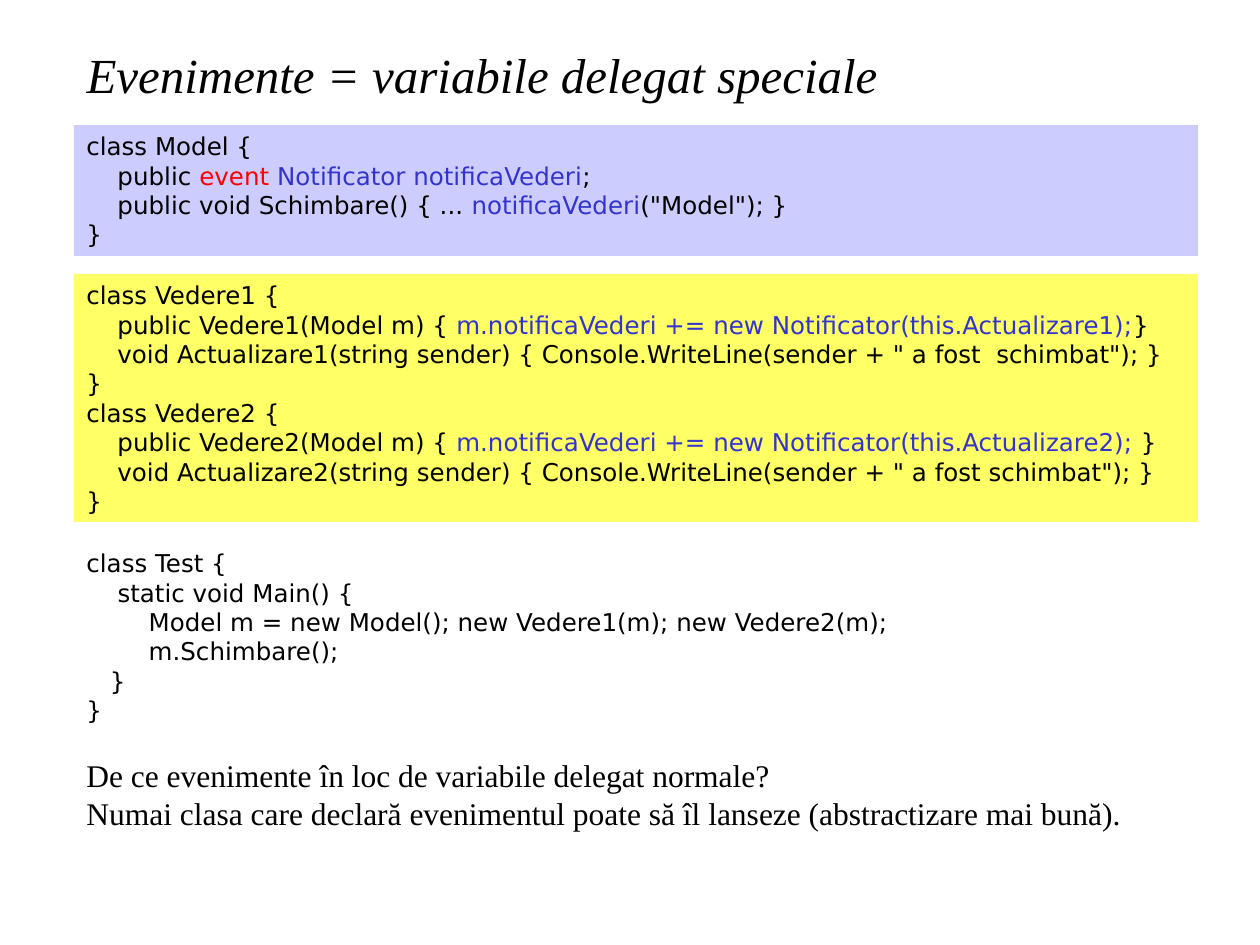
from dataclasses import dataclass
from typing import Optional

from pptx import Presentation
from pptx import util as u
from pptx.dml.color import RGBColor
from pptx.enum import shapes, text

PX = 914400 / 126  # EMU per px
LEFT = 74
HUES = {
    "ink": "000000",
    "red": "FF0000",
    "blue": "3333CD",
    "lilac": "CCCCFF",
    "yellow": "FFFF66",
}
CODE, SERIF = "DejaVu Sans", "Times New Roman"


@dataclass
class Block:
    """A box of lines; a line is a list of (text, colour) runs."""
    top: int
    wide: int
    high: int
    lines: list
    font: str = CODE
    size: int = 14
    fill: Optional[str] = None


def px(n: int) -> u.Emu:
    return u.Emu(round(n * PX))


def rgb(name: str) -> RGBColor:
    return RGBColor.from_string(HUES[name])


def plain(line: str) -> list:
    return [(line, "ink")]


def put(frame, lines: list, *, font: str, size: int, slant: bool = False,
        anchor=text.MSO_ANCHOR.TOP) -> None:
    """Write lines of coloured runs into a text frame."""
    frame.word_wrap = True
    frame.auto_size = text.MSO_AUTO_SIZE.NONE
    frame.vertical_anchor = anchor
    for i, line in enumerate(lines):
        para = frame.add_paragraph() if i else frame.paragraphs[0]
        para.alignment = text.PP_ALIGN.LEFT
        for words, hue in line:
            run = para.add_run()
            run.text = words
            run.font.name = font
            run.font.size = u.Pt(size)
            run.font.italic = slant
            run.font.color.rgb = rgb(hue)


def draw(slide, block: Block) -> None:
    """Draw a block as a filled rectangle or a bare text box."""
    area = [px(n) for n in (LEFT, block.top, block.wide, block.high)]
    if block.fill:
        box = slide.shapes.add_shape(shapes.MSO_SHAPE.RECTANGLE, *area)
        box.shadow.inherit = False
        box.fill.solid()
        box.fill.fore_color.rgb = rgb(block.fill)
        box.line.fill.background()
    else:
        box = slide.shapes.add_textbox(*area)
    put(box.text_frame, block.lines, font=block.font, size=block.size)


def view(n: int, gap: str, tail: str) -> list:
    """Code of one view class."""
    return [
        plain(f"class Vedere{n} {{"),
        [(f"    public Vedere{n}(Model m) {{ ", "ink"),
         (f"m.notificaVederi += new Notificator(this.Actualizare{n});{tail}",
          "blue"),
         ("}", "ink")],
        plain(f"    void Actualizare{n}(string sender) {{ "
              f'Console.WriteLine(sender + " a fost{gap}schimbat"); }}'),
        plain("}"),
    ]


MODEL = [
    plain("class Model {"),
    [("    public ", "ink"), ("event ", "red"),
     ("Notificator notificaVederi", "blue"), (";", "ink")],
    [("    public void Schimbare() { ... ", "ink"),
     ("notificaVederi", "blue"), ('("Model"); }', "ink")],
    plain("}"),
]
TEST = [plain(line) for line in (
    "class Test {",
    "    static void Main() {",
    "        Model m = new Model(); new Vedere1(m); new Vedere2(m);",
    "        m.Schimbare();",
    "   }",
    "}",
)]
NOTE = [plain(line) for line in (
    "De ce evenimente în loc de variabile delegat normale?",
    "Numai clasa care declară evenimentul poate să îl lanseze "
    "(abstractizare mai bună).",
)]
BLOCKS = [
    Block(125, 1124, 131, MODEL, fill="lilac"),
    Block(274, 1124, 248, view(1, "  ", "") + view(2, " ", " "),
          fill="yellow"),
    Block(542, 1113, 189, TEST),
    Block(750, 1155, 88, NOTE, font=SERIF, size=18),
]


def main() -> None:
    deck = Presentation()
    deck.slide_width, deck.slide_height = px(1260), px(945)
    slide = deck.slides.add_slide(deck.slide_layouts[5])

    # Title
    title = slide.shapes.title
    title.left, title.top = px(LEFT), px(26)
    title.width, title.height = px(945), px(95)
    put(title.text_frame, [plain("Evenimente = variabile delegat speciale")],
        font=SERIF, size=28, slant=True, anchor=text.MSO_ANCHOR.MIDDLE)

    # Code blocks and closing remark
    for block in BLOCKS:
        draw(slide, block)

    deck.save("out.pptx")


if __name__ == "__main__":
    main()
